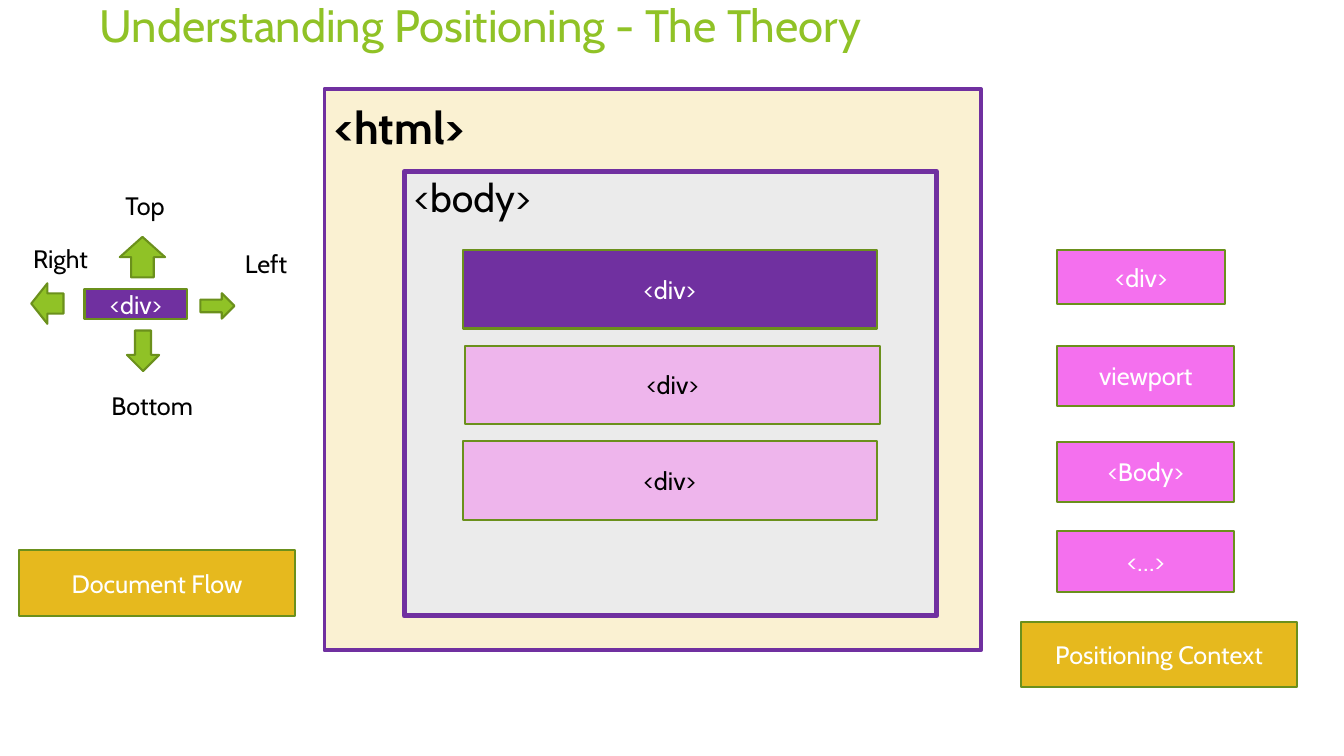
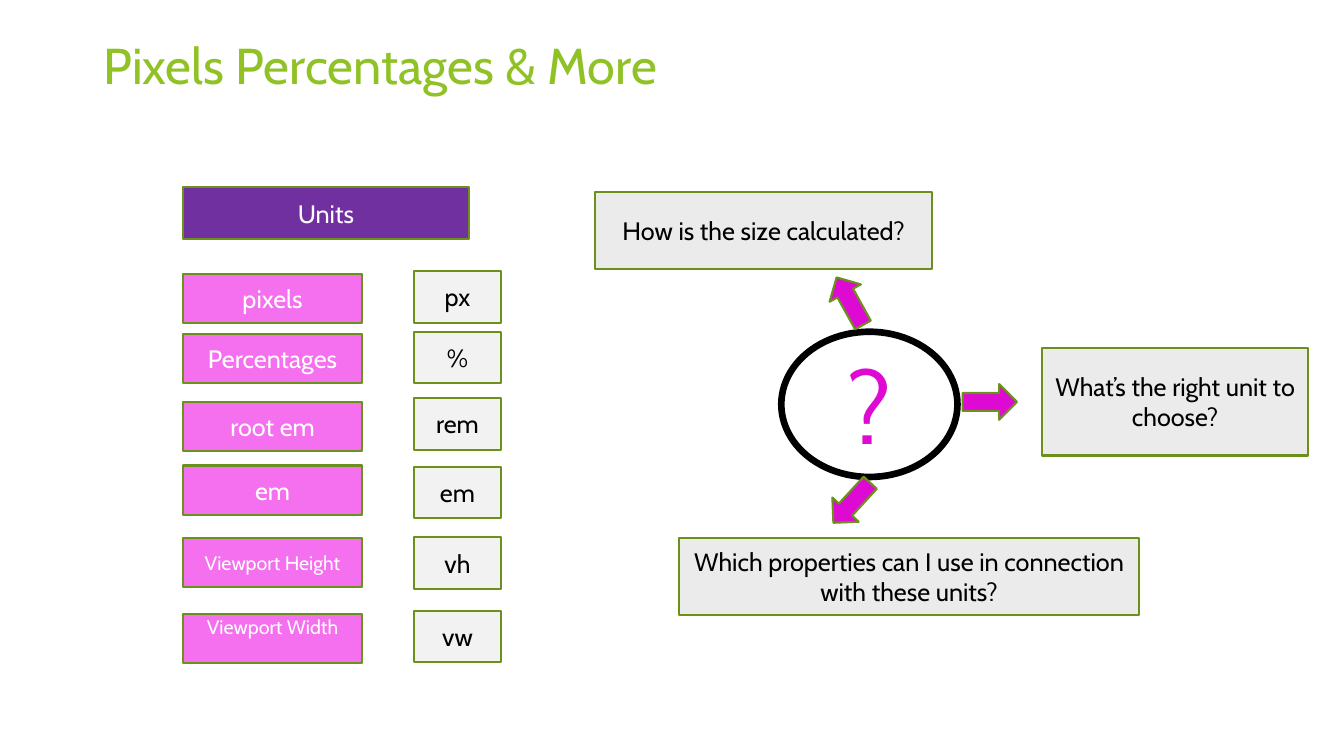
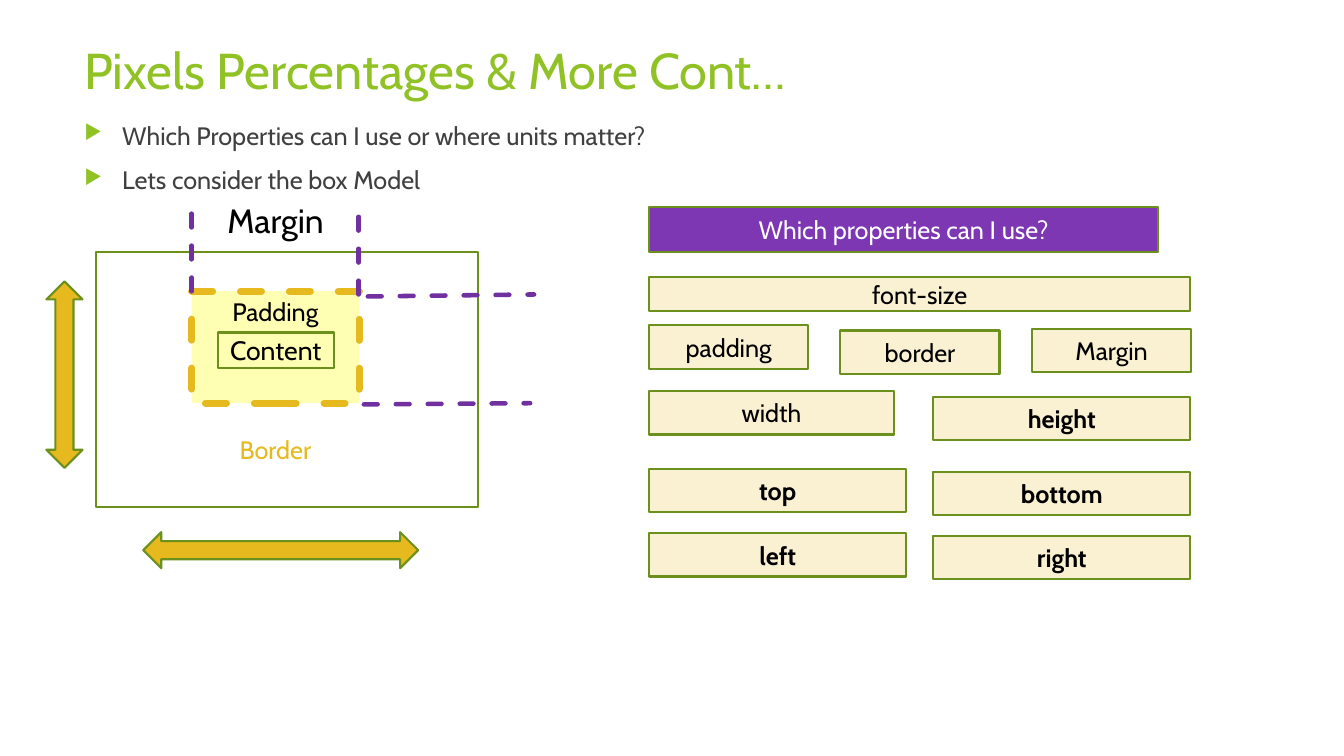
from lxml import etree
from pptx import Presentation
from pptx.dml.color import RGBColor
from pptx.enum.dml import MSO_LINE
from pptx.enum.shapes import MSO_CONNECTOR, MSO_SHAPE
from pptx.enum.text import MSO_ANCHOR, PP_ALIGN
from pptx.oxml.ns import qn
from pptx.util import Cm, Pt

RECT, OVAL = MSO_SHAPE.RECTANGLE, MSO_SHAPE.OVAL
UP, DOWN = MSO_SHAPE.UP_ARROW, MSO_SHAPE.DOWN_ARROW
LEFT, RIGHT = MSO_SHAPE.LEFT_ARROW, MSO_SHAPE.RIGHT_ARROW
TALL, WIDE = MSO_SHAPE.UP_DOWN_ARROW, MSO_SHAPE.LEFT_RIGHT_ARROW
TOP, MID = MSO_ANCHOR.TOP, MSO_ANCHOR.MIDDLE
START, CENTER = PP_ALIGN.LEFT, PP_ALIGN.CENTER
DASH, STRAIGHT = MSO_LINE.DASH, MSO_CONNECTOR.STRAIGHT

# Shared look
FONT = "Cabin"
GREEN, EDGE, GOLD = "90C226", "6B901C", "E6B91E"
PURPLE, PINK, MAGENTA = "7030A0", "F470EE", "DE0AD4"
CREAM, GRAY, PALE, YELLOW = "FAF1D2", "EBEBEB", "F2F2F2", "FFFFB3"
BLACK, WHITE, DARK = "000000", "FFFFFF", "404040"

# Slide 1 content: places are left, top, width, height in cm
DIVS = [(11.66, PURPLE, WHITE, None), (11.73, PINK, BLACK, 43),
        (11.66, PINK, BLACK, 43)]
MOVES = [(UP, (3.02, 5.97, 1.14, 1.02)), (DOWN, (3.2, 8.33, 0.81, 1.02)),
         (LEFT, (0.79, 7.14, 0.81, 1.02)), (RIGHT, (5.05, 7.39, 0.86, 0.64))]
SIDES = [("Top", 2.26, 4.7), ("Bottom", 2.44, 9.75),
         ("Left", 5.31, 6.17), ("Right", 0.13, 6.05)]
TOPICS = [("Document Flow", 0.48, 13.87), ("Positioning Context", 25.73, 15.67)]
FRAMES = [("<div>", 6.3, 4.24, 1.37), ("viewport", 8.71, 4.47, 1.52),
          ("<Body>", 11.13, 4.47, 1.52), ("<…>", 13.39, 4.47, 1.52)]

# Slide 2 content: name, top, size, unit, top
UNITS = [("pixels", 6.91, 18, "px", 6.83),
         ("Percentages", 8.41, 18, "%", 8.36),
         ("root em", 10.13, 18, "rem", 10.03),
         ("em", 11.73, 18, "em", 11.76),
         ("Viewport Height", 13.56, 14, "vh", 13.54),
         ("Viewport Width", 15.47, 14, "vw", 15.39)]
ASKS = [("How is the size calculated?", (14.99, 4.85, 8.51, 1.93)),
        ("What’s the right unit to choose?", (26.26, 8.76, 6.71, 2.72)),
        ("Which properties can I use in connection with these units?",
         (17.12, 13.56, 11.58, 1.93))]
POINTS = [(20.73, 7.14, 241), (24.26, 9.68, 0), (20.78, 12.22, 132.6)]

# Slide 3 content
BULLETS = ["Which Properties can I use or where units matter?",
           "Lets consider the box Model"]
PROPS = [("font-size", 16.36, 6.99, 13.64, 0.84, False),
         ("padding", 16.36, 8.2, 4.01, 1.09, False),
         ("border", 21.18, 8.33, 4.01, 1.09, False),
         ("Margin", 26.01, 8.28, 4.01, 1.09, False),
         ("width", 16.36, 9.86, 6.17, 1.09, False),
         ("height", 23.52, 10.01, 6.48, 1.09, True),
         ("top", 16.36, 11.81, 6.48, 1.09, True),
         ("bottom", 23.52, 11.89, 6.48, 1.09, True),
         ("left", 16.36, 13.44, 6.48, 1.09, True),
         ("right", 23.52, 13.51, 6.48, 1.09, True)]
GUIDES = [(4.83, 7.34, 4.83, 5.11), (9.04, 7.42, 9.04, 5.21),
          (9.27, 7.47, 13.46, 7.42), (9.17, 10.19, 13.36, 10.16)]
PAD = (4.83, 7.34, 4.22, 2.82)


def rgb(code):
    return RGBColor.from_string(code)


def place(spot):
    return [Cm(v) for v in spot]


def write(shape, text, size=18, color=BLACK, bold=False, align=CENTER,
          anchor=MID, inset=None):
    """Fill a shape with one paragraph for each line of text."""
    frame = shape.text_frame
    frame.word_wrap, frame.vertical_anchor = True, anchor
    if inset is not None:
        frame.margin_top = Cm(inset)
    frame.text = text
    for para in frame.paragraphs:
        para.alignment = align
        font = para.runs[0].font
        font.name, font.size, font.bold = FONT, Pt(size), bold
        font.color.rgb = rgb(color)
    return shape


def stroke(shape, color, width, dash=False):
    shape.line.color.rgb, shape.line.width = rgb(color), Pt(width)
    if dash:
        shape.line.dash_style = DASH
        shape.element.spPr.find(qn("a:ln")).set("cap", "rnd")


def draw(slide, spot, fill=None, text=None, kind=RECT, edge=EDGE, width=1.5,
         dash=False, alpha=None, turn=0, **style):
    shape = slide.shapes.add_shape(kind, *place(spot))
    shape.shadow.inherit = False
    shape.rotation = turn
    if fill:
        shape.fill.solid()
        shape.fill.fore_color.rgb = rgb(fill)
    else:
        shape.fill.background()
    if alpha:
        tint = shape.element.spPr.find(qn("a:solidFill"))[0]
        etree.SubElement(tint, qn("a:alpha")).set("val", str(alpha * 1000))
    if edge:
        stroke(shape, edge, width, dash)
    else:
        shape.line.fill.background()
    if text:
        write(shape, text, **style)


def label(slide, spot, text, **style):
    return write(slide.shapes.add_textbox(*place(spot)), text, **style)


def guide(slide, ends):
    line = slide.shapes.add_connector(STRAIGHT, *place(ends))
    stroke(line, PURPLE, 3.25, dash=True)
    etree.SubElement(line.element.spPr, qn("a:effectLst"))


def bullet(para):
    para.space_before = Pt(10)
    props = para._p.get_or_add_pPr()
    props.set("marL", str(Cm(0.95)))
    props.set("indent", str(Cm(-0.95)))
    tint = etree.SubElement(props, qn("a:buClr"))
    etree.SubElement(tint, qn("a:srgbClr")).set("val", GREEN)
    etree.SubElement(props, qn("a:buSzPct")).set("val", "80000")
    etree.SubElement(props, qn("a:buChar")).set("char", "▶")


def start(deck, title, spot, size=36):
    slide = deck.slides.add_slide(deck.slide_layouts[6])
    label(slide, spot, title, size=size, color=GREEN, align=START, anchor=TOP)
    return slide


def theory(deck):
    slide = start(deck, "Understanding Positioning - The Theory",
                  (2.26, -0.2, 28.83, 1.65), 32.4)
    # Nested page
    draw(slide, (8.18, 2.24, 16.54, 14.15), CREAM, "<html>", edge=PURPLE,
         width=2.75, size=32, bold=True, align=START, anchor=TOP, inset=0.28)
    draw(slide, (10.19, 4.32, 13.41, 11.2), GRAY, "<body>", edge=PURPLE,
         width=3.75, size=28, align=START, anchor=TOP, inset=0.05)
    for i, (x, fill, color, alpha) in enumerate(DIVS):
        draw(slide, (x, 6.3 + 2.41 * i, 10.44, 1.98), fill, "<div>",
             color=color, alpha=alpha)
    # Directions
    draw(slide, (2.13, 7.29, 2.59, 0.74), PURPLE, "<div>", color=WHITE)
    for kind, spot in MOVES:
        draw(slide, spot, GREEN, kind=kind)
    for text, x, y in SIDES:
        label(slide, (x, y, 2.79, 0.94), text)
    # Topics and contexts
    for text, x, y in TOPICS:
        draw(slide, (x, y, 6.96, 1.65), GOLD, text, color=WHITE)
    for text, y, w, h in FRAMES:
        draw(slide, (26.64, y, w, h), PINK, text, color=WHITE)


def units(deck):
    slide = start(deck, "Pixels Percentages & More", (2.36, 0.74, 23.88, 1.8))
    # Unit list
    draw(slide, (4.62, 4.72, 7.19, 1.3), PURPLE, "Units", color=WHITE)
    for name, y, size, unit, top in UNITS:
        last = name == UNITS[-1][0]
        draw(slide, (4.61, y, 4.52, 1.24), PINK, name, size=size, color=WHITE,
             anchor=TOP if last else MID, inset=0.03 if last else None)
        draw(slide, (10.44, top, 2.18, 1.3), PALE, unit)
    # Questions
    draw(slide, (19.69, 8.36, 4.44, 3.66), WHITE, "?", kind=OVAL, edge=BLACK,
         width=4.75, size=72, color=MAGENTA)
    for text, spot in ASKS:
        draw(slide, spot, GRAY, text)
    for x, y, turn in POINTS:
        draw(slide, (x, y, 1.37, 0.9), MAGENTA, kind=RIGHT, turn=turn)


def model(deck):
    slide = start(deck, "Pixels Percentages & More Cont…",
                  (1.88, 0.86, 30.48, 2.03))
    body = label(slide, (1.88, 2.9, 30.2, 15.04), "\n".join(BULLETS),
                 color=DARK, align=START, anchor=TOP)
    for para in body.text_frame.paragraphs:
        bullet(para)
    # Box model
    draw(slide, PAD, YELLOW, "Padding", edge=None, anchor=TOP)
    draw(slide, (5.49, 8.38, 2.92, 0.89), YELLOW, "Content", size=19)
    draw(slide, PAD, edge=GOLD, width=5, dash=True)
    label(slide, (5.16, 10.82, 3.56, 0.99), "Border", color=GOLD)
    draw(slide, (2.41, 6.35, 9.63, 6.43))
    label(slide, (4.19, 5.11, 5.51, 0.89), "Margin", size=24)
    for ends in GUIDES:
        guide(slide, ends)
    draw(slide, (1.17, 7.09, 0.91, 4.7), GOLD, kind=TALL)
    draw(slide, (3.61, 13.41, 6.93, 0.91), GOLD, kind=WIDE)
    # Properties
    draw(slide, (16.36, 5.21, 12.83, 1.14), "7E37B3",
         "Which properties can I use?", color=WHITE)
    for text, x, y, w, h, bold in PROPS:
        draw(slide, (x, y, w, h), CREAM, text, bold=bold)


def main():
    deck = Presentation()
    deck.slide_width, deck.slide_height = Cm(33.87), Cm(19.05)
    for build in (theory, units, model):
        build(deck)
    deck.save("out.pptx")


if __name__ == "__main__":
    main()
